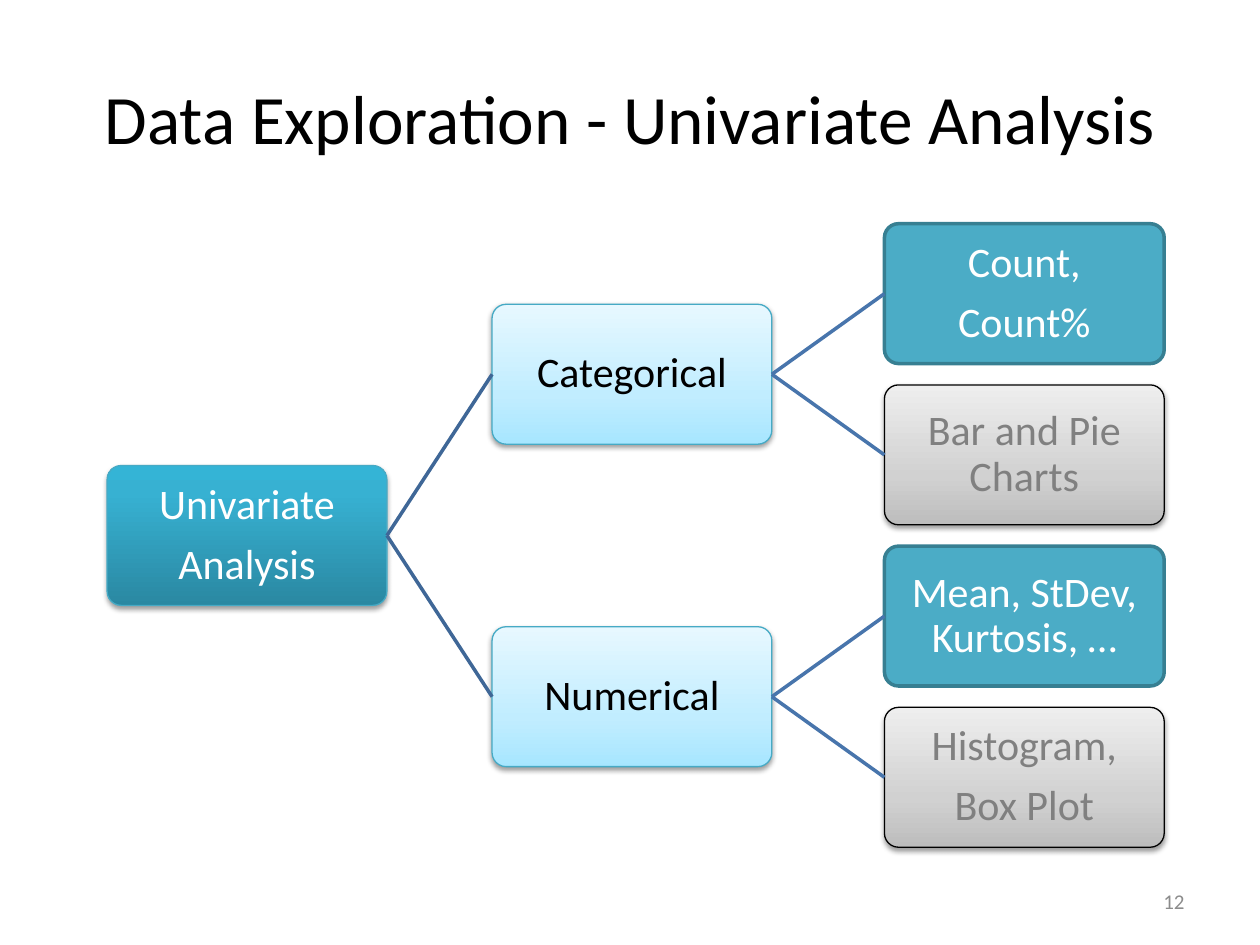
from copy import deepcopy

from lxml.etree import SubElement
from pptx import Presentation
from pptx.dml.color import RGBColor
from pptx.enum.shapes import MSO_CONNECTOR as Connector, MSO_SHAPE as Shape
from pptx.enum.text import MSO_ANCHOR as Anchor, PP_ALIGN as Align
from pptx.oxml.ns import qn
from pptx.util import Cm, Pt

COLORS = {
    "black": "000000", "white": "FFFFFF", "muted": "808080", "number": "8C8C8C",
    "teal": "4BACC6", "teal_edge": "377F92", "sky_edge": "46AAC5",
    "root_link": "3F6797", "leaf_link": "4875AC",
}
GRADIENTS = {
    "root": [(0, "2A88A2"), (0.8, "37B1D2"), (1, "34B4D6")],
    "kind": [(0, "A7E6FF"), (0.35, "C1EDFF"), (1, "E7F8FF")],
    "chart": [(0, "BDBDBD"), (0.35, "D1D1D1"), (1, "EEEEEE")],
}
NODE_STYLES = {
    "root": ("sky_edge", 0.75, "white"),
    "kind": ("sky_edge", 0.75, "black"),
    "measure": ("teal_edge", 2, "white"),
    "chart": ("black", 0.75, "muted"),
}
COLUMNS = {"root": 2.16, "kind": 9.92, "measure": 17.83, "chart": 17.83}
NODE_WIDTH, NODE_HEIGHT = 5.64, 2.82
LEAF_TOP, LEAF_PITCH = 4.51, 3.25


def rgb(name):
    return RGBColor.from_string(COLORS[name])


class TreeSlide:
    font = "Calibri"

    def __init__(self, slide):
        self.slide = slide

    def add_lines(self, frame, lines, size, color, align=Align.CENTER):
        frame.word_wrap = True
        frame.vertical_anchor = Anchor.MIDDLE
        for index, line in enumerate(lines):
            paragraph = frame.paragraphs[0] if index == 0 else frame.add_paragraph()
            paragraph.alignment = align
            run = paragraph.add_run()
            run.text = line
            run.font.name = self.font
            run.font.size = Pt(size)
            run.font.color.rgb = rgb(color)

    def text(self, left, top, width, height, line, size, color, align=Align.CENTER):
        box = self.slide.shapes.add_textbox(Cm(left), Cm(top), Cm(width), Cm(height))
        self.add_lines(box.text_frame, [line], size, color, align)

    def gradient(self, node, stops):
        node.fill.gradient()
        node.fill.gradient_angle = 90
        stop_list = node.element.spPr.find(qn("a:gradFill")).find(qn("a:gsLst"))
        stop_list.append(deepcopy(stop_list[-1]))
        for stop, (position, color) in zip(node.fill.gradient_stops, stops):
            stop.position = position
            stop.color.rgb = RGBColor.from_string(color)

    def drop_shadow(self, node):
        effects = node.element.spPr.find(qn("a:effectLst"))
        shadow = SubElement(effects, qn("a:outerShdw"), blurRad=str(Pt(3.1)),
                            dist=str(Pt(1.6)), dir="5400000", rotWithShape="0")
        color = SubElement(shadow, qn("a:srgbClr"), val=COLORS["black"])
        SubElement(color, qn("a:alpha"), val="38000")

    def node(self, style, top, lines):
        edge, edge_width, text_color = NODE_STYLES[style]
        node = self.slide.shapes.add_shape(
            Shape.ROUNDED_RECTANGLE, Cm(COLUMNS[style]), Cm(top),
            Cm(NODE_WIDTH), Cm(NODE_HEIGHT))
        node.adjustments[0] = 0.1
        node.shadow.inherit = False
        node.line.color.rgb = rgb(edge)
        node.line.width = Pt(edge_width)
        if style in GRADIENTS:
            self.gradient(node, GRADIENTS[style])
            self.drop_shadow(node)
        else:
            node.fill.solid()
            node.fill.fore_color.rgb = rgb("teal")
        frame = node.text_frame
        frame.margin_left = frame.margin_right = Cm(0.14)
        frame.margin_top = frame.margin_bottom = Cm(0.14)
        self.add_lines(frame, lines, 24, text_color)
        for paragraph in frame.paragraphs:
            paragraph.line_spacing = 0.9
            paragraph.space_after = Pt(8.4)
        return node

    def link(self, parent, child, color):
        link = self.slide.shapes.add_connector(Connector.STRAIGHT, 0, 0, 0, 0)
        link.begin_connect(parent, 3)
        link.end_connect(child, 1)
        link.line.color.rgb = rgb(color)
        link.line.width = Pt(2)
        SubElement(link._element.spPr, qn("a:effectLst"))


def main():
    deck = Presentation()
    deck.slide_width, deck.slide_height = Cm(25.4), Cm(19.05)
    tree = TreeSlide(deck.slides.add_slide(deck.slide_layouts[6]))
    tree.text(1.27, 0.76, 22.86, 3.18, "Data Exploration - Univariate Analysis", 39.6, "black")

    branches = [
        ("Categorical", ["Count,", "Count%"], ["Bar and Pie Charts"]),
        ("Numerical", ["Mean, StDev, Kurtosis, …"], ["Histogram,", "Box Plot"]),
    ]
    root = tree.node("root", LEAF_TOP + 1.5 * LEAF_PITCH, ["Univariate", "Analysis"])
    for index, (kind_name, measures, charts) in enumerate(branches):
        top = LEAF_TOP + 2 * index * LEAF_PITCH
        kind = tree.node("kind", top + LEAF_PITCH / 2, [kind_name])
        tree.link(root, kind, "root_link")
        measure = tree.node("measure", top, measures)
        chart = tree.node("chart", top + LEAF_PITCH, charts)
        for leaf in (measure, chart):
            tree.link(kind, leaf, "leaf_link")

    tree.text(18.2, 17.66, 5.93, 1.01, "12", 12, "number", Align.RIGHT)
    deck.save("out.pptx")


if __name__ == "__main__":
    main()
